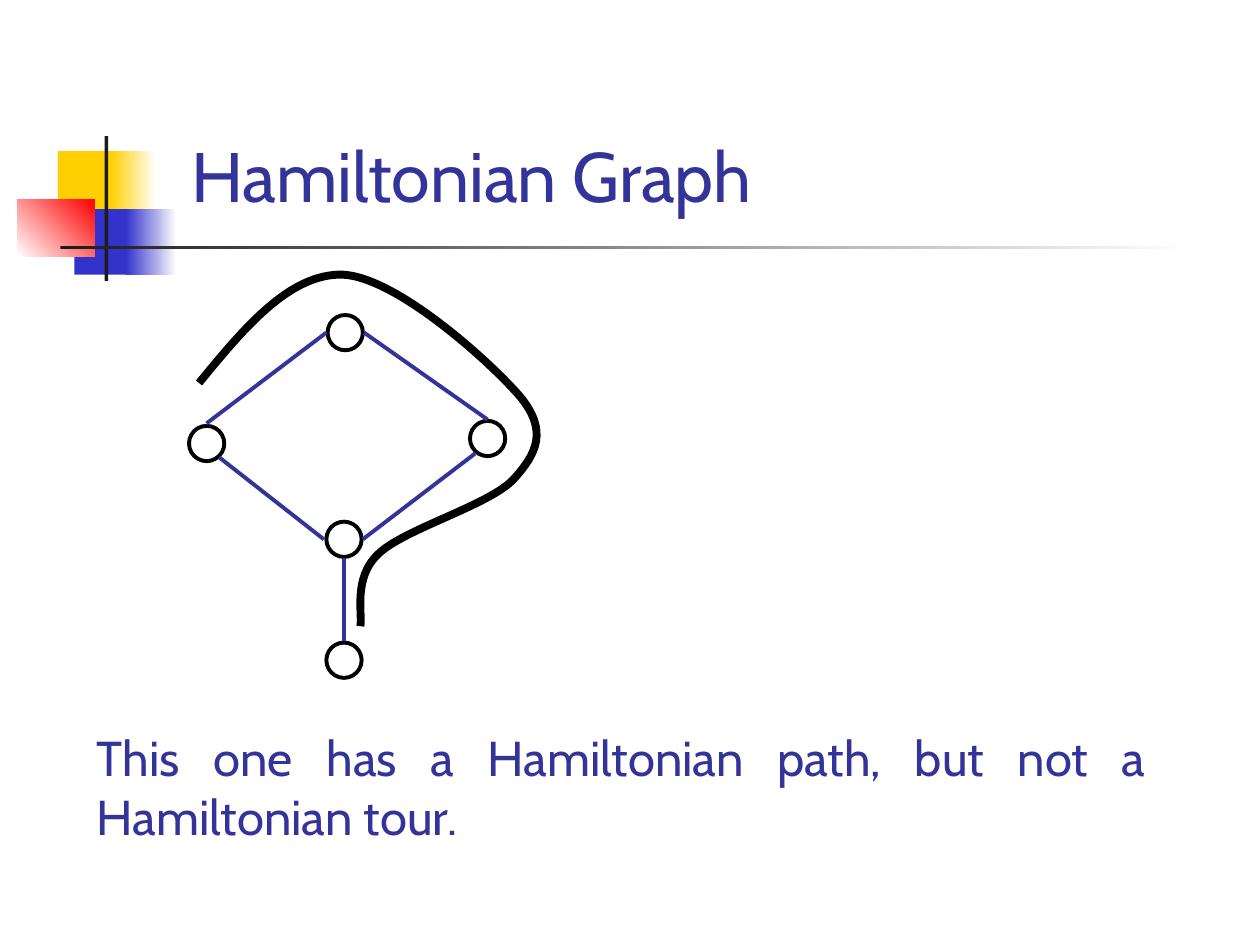
import pptx
import pptx.util
import pptx.dml.color
import pptx.enum.shapes
import pptx.enum.text
import pptx.oxml.ns

Inches = pptx.util.Inches
Pt = pptx.util.Pt
SHAPE = pptx.enum.shapes.MSO_SHAPE
ALIGN = pptx.enum.text.PP_ALIGN
ANCHOR = pptx.enum.text.MSO_ANCHOR
qn = pptx.oxml.ns.qn

COLORS = {
    "gold": "FFCF01",
    "blue": "3333CC",
    "red": "FF0000",
    "dark": "1C1C1C",
    "white": "FFFFFF",
    "black": "000000",
    "navy": "333399",
}
FONT = "Cabin"
NODE = 0.28

# left, top, width, height, colours (two make a gradient), angle
DECOR = [
    (0.46, 1.2, 0.48, 0.52, ["gold"], 0),
    (0.88, 1.2, 0.36, 0.52, ["gold", "white"], 0),
    (0.59, 1.66, 0.46, 0.52, ["blue"], 0),
    (1, 1.66, 0.4, 0.52, ["blue", "white"], 0),
    (0.14, 1.58, 0.61, 0.46, ["white", "red"], 45),
    (0.83, 1.08, 0.03, 1.15, ["dark"], 0),
    (0.48, 1.95, 9, 0.03, ["dark", "white"], 0),
]
NODES = [(2.6, 2.5), (1.5, 3.38), (3.73, 3.34), (2.59, 4.14), (2.59, 5.1)]
EDGES = [
    (2.59, 2.64, 1.64, 3.36),
    (2.89, 2.64, 3.87, 3.33),
    (2.57, 4.28, 1.74, 3.63),
    (2.88, 4.28, 3.77, 3.6),
    (2.73, 4.43, 2.73, 5.09),
]
# start, then two control points and an end for each curve
TRAIL = [
    (1.58, 3.04),
    (1.94, 2.6), (2.3, 2.17), (2.72, 2.18),
    (3.15, 2.2), (3.9, 2.88), (4.13, 3.15),
    (4.35, 3.42), (4.26, 3.6), (4.08, 3.8),
    (3.89, 4.01), (3.2, 4.2), (3, 4.4),
    (2.8, 4.59), (2.88, 4.88), (2.86, 4.97),
]


def rgb(name):
    return pptx.dml.color.RGBColor.from_string(COLORS[name])


def stroke(shape, color, width):
    shape.line.color.rgb = rgb(color)
    shape.line.width = Pt(width)


def add_block(shapes, left, top, width, height, names, angle):
    block = shapes.add_shape(SHAPE.RECTANGLE, *map(Inches, (left, top, width, height)))
    block.shadow.inherit = False
    block.line.fill.background()
    if len(names) == 1:
        block.fill.solid()
        block.fill.fore_color.rgb = rgb(names[0])
        return
    block.fill.gradient()
    block.fill.gradient_angle = angle
    for place, (stop, name) in enumerate(zip(block.fill.gradient_stops, names)):
        stop.color.rgb = rgb(name)
        stop.position = place


def add_node(shapes, left, top):
    node = shapes.add_shape(SHAPE.OVAL, *map(Inches, (left, top, NODE, NODE)))
    node.shadow.inherit = False
    node.fill.background()
    stroke(node, "black", 2.25)


def add_edge(shapes, *ends):
    kind = pptx.enum.shapes.MSO_CONNECTOR.STRAIGHT
    edge = shapes.add_connector(kind, *map(Inches, ends))
    stroke(edge, "navy", 2.25)
    edge._element.spPr.append(pptx.oxml.parse_xml(
        f"<a:effectLst {pptx.oxml.ns.nsdecls('a')}/>"))


def add_curve(shapes, points):
    """Draw an open outline, turning each three segments into one Bezier curve."""
    start, *rest = [(Inches(x), Inches(y)) for x, y in points]
    pen = shapes.build_freeform(*start)
    pen.add_line_segments(rest, close=False)
    curve = pen.convert_to_shape()
    curve.shadow.inherit = False
    curve.fill.background()
    stroke(curve, "black", 4.5)
    lines = list(curve._element.iter(qn("a:lnTo")))
    for first, second, third in zip(lines[::3], lines[1::3], lines[2::3]):
        bend = pptx.oxml.parse_xml(
            f"<a:cubicBezTo {pptx.oxml.ns.nsdecls('a')}/>")
        first.addprevious(bend)
        for line in (first, second, third):
            bend.append(line[0])
            line.getparent().remove(line)


def add_label(shapes, area, text, size, align, anchor):
    label = shapes.add_textbox(*map(Inches, area))
    frame = label.text_frame
    frame.word_wrap = True
    frame.vertical_anchor = anchor
    para = frame.paragraphs[0]
    para.text = text
    para.alignment = align
    para.font.name = FONT
    para.font.size = Pt(size)
    para.font.color.rgb = rgb("navy")


def main():
    deck = pptx.Presentation()
    deck.slide_width, deck.slide_height = Inches(10), Inches(7.5)
    shapes = deck.slides.add_slide(deck.slide_layouts[6]).shapes
    for block in DECOR:
        add_block(shapes, *block)
    graph = shapes.add_group_shape().shapes
    for node in NODES:
        add_node(graph, *node)
    for edge in EDGES:
        add_edge(graph, *edge)
    add_label(shapes, (0.67, 5.58, 8.52, 1.18),
              "This one has a Hamiltonian path, but not a Hamiltonian tour.",
              28, ALIGN.JUSTIFY, ANCHOR.BOTTOM)
    add_curve(shapes, TRAIL)
    add_label(shapes, (1.42, 1, 7.25, 0.77), "Hamiltonian Graph",
              40, ALIGN.LEFT, ANCHOR.TOP)
    deck.save("out.pptx")


if __name__ == "__main__":
    main()
